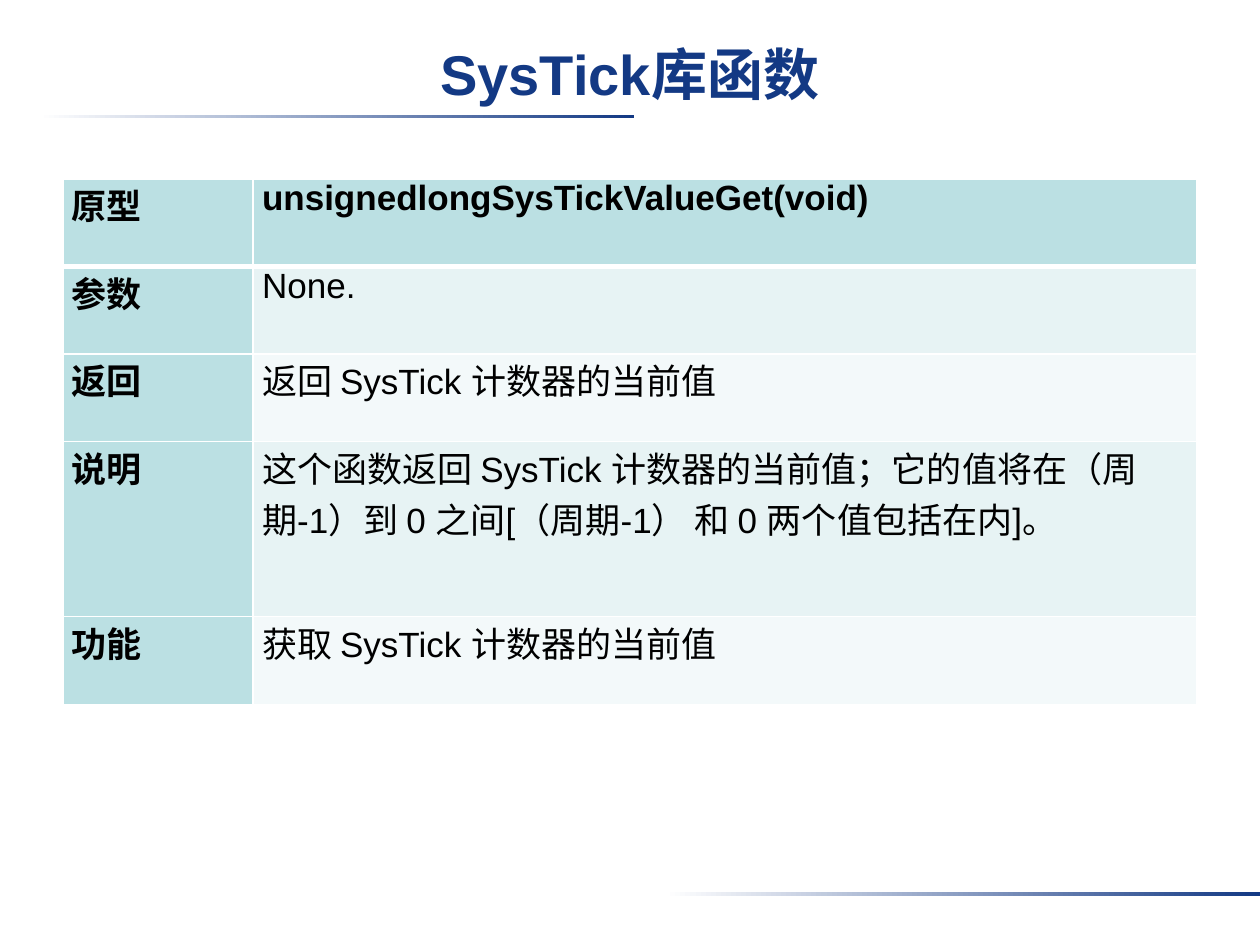
"""Build the SysTick library function slide with its reference table."""
import dataclasses

import lxml.etree
import pptx
import pptx.dml.color
import pptx.enum.shapes
import pptx.enum.text
import pptx.oxml.ns
import pptx.util

Inches = pptx.util.Inches
Pt = pptx.util.Pt
RGBColor = pptx.dml.color.RGBColor
Align = pptx.enum.text.PP_ALIGN
Anchor = pptx.enum.text.MSO_ANCHOR
qn = pptx.oxml.ns.qn


@dataclasses.dataclass(frozen=True)
class Theme:
    font: str = "Arial"
    navy: str = "133984"
    white: str = "FFFFFF"
    black: str = "000000"
    label_fill: str = "BBE0E3"
    band_fills: tuple = ("F3F9FA", "E7F3F4")
    title_size: int = 32
    table_size: int = 20
    border_width: int = 1
    header_border_width: int = 3


theme = Theme()


def write_text(text_frame, text, size, color, bold, alignment, margins):
    text_frame.text = text
    text_frame.word_wrap = True
    paragraph = text_frame.paragraphs[0]
    paragraph.alignment = alignment
    font_format = {"name": theme.font, "size": Pt(size), "bold": bold}
    for name, value in font_format.items():
        setattr(paragraph.font, name, value)
    paragraph.font.color.rgb = RGBColor.from_string(color)
    for side, margin in zip(("left", "top", "right", "bottom"), margins):
        setattr(text_frame, f"margin_{side}", Inches(margin))


def add_border(cell, side, width):
    line = lxml.etree.SubElement(
        cell._tc.get_or_add_tcPr(), qn(f"a:ln{side}"), w=str(Pt(width))
    )
    fill = lxml.etree.SubElement(line, qn("a:solidFill"))
    lxml.etree.SubElement(fill, qn("a:srgbClr"), val=theme.white)


presentation = pptx.Presentation()
presentation.slide_width = Inches(10)
presentation.slide_height = Inches(7.5)
slide = presentation.slides.add_slide(presentation.slide_layouts[5])

for left, top in ((0.31, 0.91), (5.28, 7.08)):
    rule = slide.shapes.add_shape(
        pptx.enum.shapes.MSO_SHAPE.RECTANGLE,
        Inches(left), Inches(top), Inches(4.72), Inches(0.03),
    )
    rule.shadow.inherit = False
    rule.line.fill.background()
    rule.fill.gradient()
    rule.fill.gradient_angle = 0
    for stop, position, color in zip(
        rule.fill.gradient_stops, (0, 1), (theme.white, theme.navy)
    ):
        stop.position = position
        stop.color.rgb = RGBColor.from_string(color)

title = slide.shapes.title
title_box = {"left": 0, "top": 0.2, "width": 10, "height": 0.75}
for name, value in title_box.items():
    setattr(title, name, Inches(value))
write_text(title.text_frame, "SysTick库函数", theme.title_size, theme.navy, True,
           Align.CENTER, (0.1, 0.06, 0.1, 0.05))
title.text_frame.vertical_anchor = Anchor.MIDDLE

rows = [
    ("原型", "unsignedlongSysTickValueGet(void)", Align.JUSTIFY),
    ("参数", "None.", Align.LEFT),
    ("返回", "返回 SysTick 计数器的当前值", Align.JUSTIFY),
    ("说明", "这个函数返回 SysTick 计数器的当前值；它的值将在（周期-1）到 0 之间[（周期-1） 和 0 两个值包括在内]。",
     Align.LEFT),
    ("功能", "获取 SysTick 计数器的当前值", Align.JUSTIFY),
]
row_units = (1, 1, 1, 2, 1)
unit_height = 4.17 / sum(row_units)
table = slide.shapes.add_table(
    len(rows), 2, Inches(0.5), Inches(1.42), Inches(9), Inches(4.17)
).table
for column, width in zip(table.columns, (1.51, 7.49)):
    column.width = Inches(width)

for row_index, (label, description, alignment) in enumerate(rows):
    table.rows[row_index].height = Inches(unit_height * row_units[row_index])
    for column_index, text in enumerate((label, description)):
        cell = table.cell(row_index, column_index)
        emphasized = row_index == 0 or column_index == 0
        write_text(cell.text_frame, text, theme.table_size, theme.black, emphasized,
                   Align.JUSTIFY if column_index == 0 else alignment, (0, 0, 0, 0))
        cell_format = {
            "margin_left": Inches(0.07), "margin_right": Inches(0.07),
            "margin_top": 0, "margin_bottom": 0, "vertical_anchor": Anchor.TOP,
        }
        for name, value in cell_format.items():
            setattr(cell, name, value)
        for side in "LRTB":
            below_header = (row_index, side) in ((0, "B"), (1, "T"))
            add_border(cell, side,
                       theme.header_border_width if below_header else theme.border_width)
        color = theme.label_fill if emphasized else theme.band_fills[row_index % 2]
        cell.fill.solid()
        cell.fill.fore_color.rgb = RGBColor.from_string(color)

presentation.save("out.pptx")
